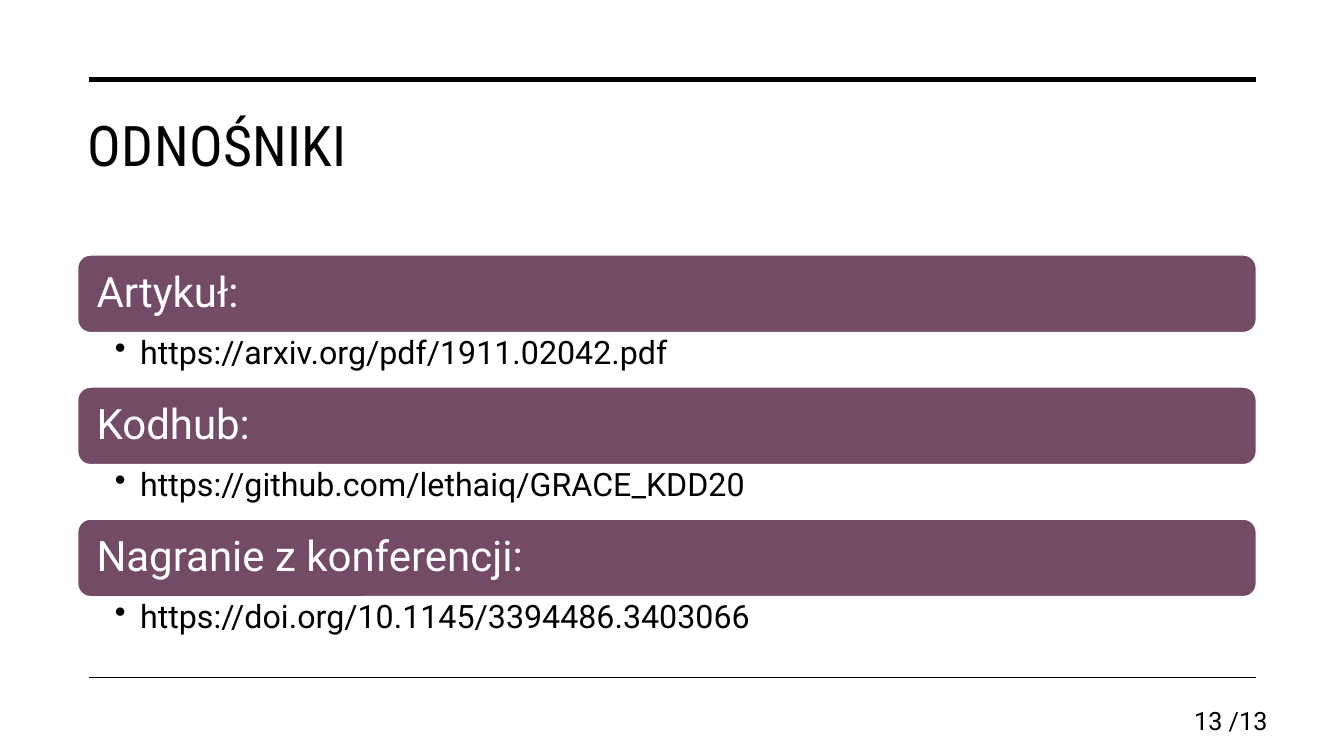
from lxml import etree
from pptx import Presentation
from pptx.dml.color import RGBColor
from pptx.enum import shapes, text
from pptx.oxml import ns
from pptx.util import Inches, Pt

TITLE = "ODNOŚNIKI"
REFERENCES = [
    ("Artykuł:", "https://arxiv.org/pdf/1911.02042.pdf"),
    ("Kodhub:", "https://github.com/lethaiq/GRACE_KDD20"),
    ("Nagranie z konferencji:", "https://doi.org/10.1145/3394486.3403066"),
]
PAGE_NUMBER = "13 /13"
RULES = [(0.79, 3.5), (6.72, 1)]

BLACK = RGBColor(0x00, 0x00, 0x00)
WHITE = RGBColor(0xFF, 0xFF, 0xFF)
PLUM = RGBColor(0x73, 0x4B, 0x67)

LEFT, WIDTH = 0.77, 11.69
RULE_LEFT, RULE_RIGHT = 0.88, 12.46
LIST_TOP, BAR_HEIGHT, LINK_HEIGHT = 2.53, 0.77, 0.54


def write(shape, words, size, color, font="Roboto", align=text.PP_ALIGN.LEFT,
          anchor=text.MSO_ANCHOR.MIDDLE, margins=(0.1, 0.05, 0.1, 0.05),
          line_spacing=1.0, bullet=False):
    frame = shape.text_frame
    frame.word_wrap = True
    frame.auto_size = text.MSO_AUTO_SIZE.NONE
    frame.vertical_anchor = anchor
    (frame.margin_left, frame.margin_top,
     frame.margin_right, frame.margin_bottom) = map(Inches, margins)
    paragraph = frame.paragraphs[0]
    paragraph.text = words
    paragraph.alignment = align
    paragraph.line_spacing = line_spacing
    if bullet:
        properties = paragraph._p.get_or_add_pPr()
        properties.set("marL", str(Inches(0.25)))
        properties.set("indent", str(-Inches(0.25)))
        etree.SubElement(properties, ns.qn("a:buChar")).set("char", "•")
    paragraph.font.name = font
    paragraph.font.size = Pt(size)
    paragraph.font.color.rgb = color
    return paragraph


def add_rule(slide, top, weight):
    rule = slide.shapes.add_connector(
        shapes.MSO_CONNECTOR.STRAIGHT, Inches(RULE_LEFT), Inches(top),
        Inches(RULE_RIGHT), Inches(top))
    rule.line.color.rgb = BLACK
    rule.line.width = Pt(weight)
    etree.SubElement(rule._element.spPr, ns.qn("a:effectLst"))


def add_reference(slide, top, heading, link):
    bar = slide.shapes.add_shape(
        shapes.MSO_SHAPE.ROUNDED_RECTANGLE, Inches(LEFT), Inches(top),
        Inches(WIDTH), Inches(BAR_HEIGHT))
    bar.shadow.inherit = False
    bar.fill.solid()
    bar.fill.fore_color.rgb = PLUM
    bar.line.color.rgb = WHITE
    bar.line.width = Pt(1)
    write(bar, heading, 30, WHITE, margins=(0.15, 0.05, 0.15, 0.05), line_spacing=0.9)
    box = slide.shapes.add_textbox(
        Inches(LEFT), Inches(top + BAR_HEIGHT), Inches(WIDTH), Inches(LINK_HEIGHT))
    write(box, link, 23, BLACK, anchor=text.MSO_ANCHOR.TOP,
          margins=(0.37, 0.04, 0.23, 0.04), line_spacing=0.9, bullet=True)


def main():
    presentation = Presentation()
    presentation.slide_width = Inches(13.33)
    presentation.slide_height = Inches(7.5)
    slide = presentation.slides.add_slide(presentation.slide_layouts[5])

    for top, weight in RULES:
        add_rule(slide, top, weight)

    title = slide.shapes.title
    title.left, title.top = Inches(LEFT), Inches(1.01)
    title.width, title.height = Inches(WIDTH), Inches(1.5)
    paragraph = write(title, TITLE, 40, BLACK, font="Roboto Condensed",
                      anchor=text.MSO_ANCHOR.TOP, margins=(0.1, 0.09, 0.1, 0.05))
    paragraph.runs[0].font._element.set("spc", "30")

    for index, (heading, link) in enumerate(REFERENCES):
        add_reference(slide, LIST_TOP + index * (BAR_HEIGHT + LINK_HEIGHT), heading, link)

    page = slide.shapes.add_textbox(Inches(11.53), Inches(6.95), Inches(1.14), Inches(0.4))
    write(page, PAGE_NUMBER, 18, BLACK, align=text.PP_ALIGN.RIGHT)

    presentation.save("out.pptx")


if __name__ == "__main__":
    main()
